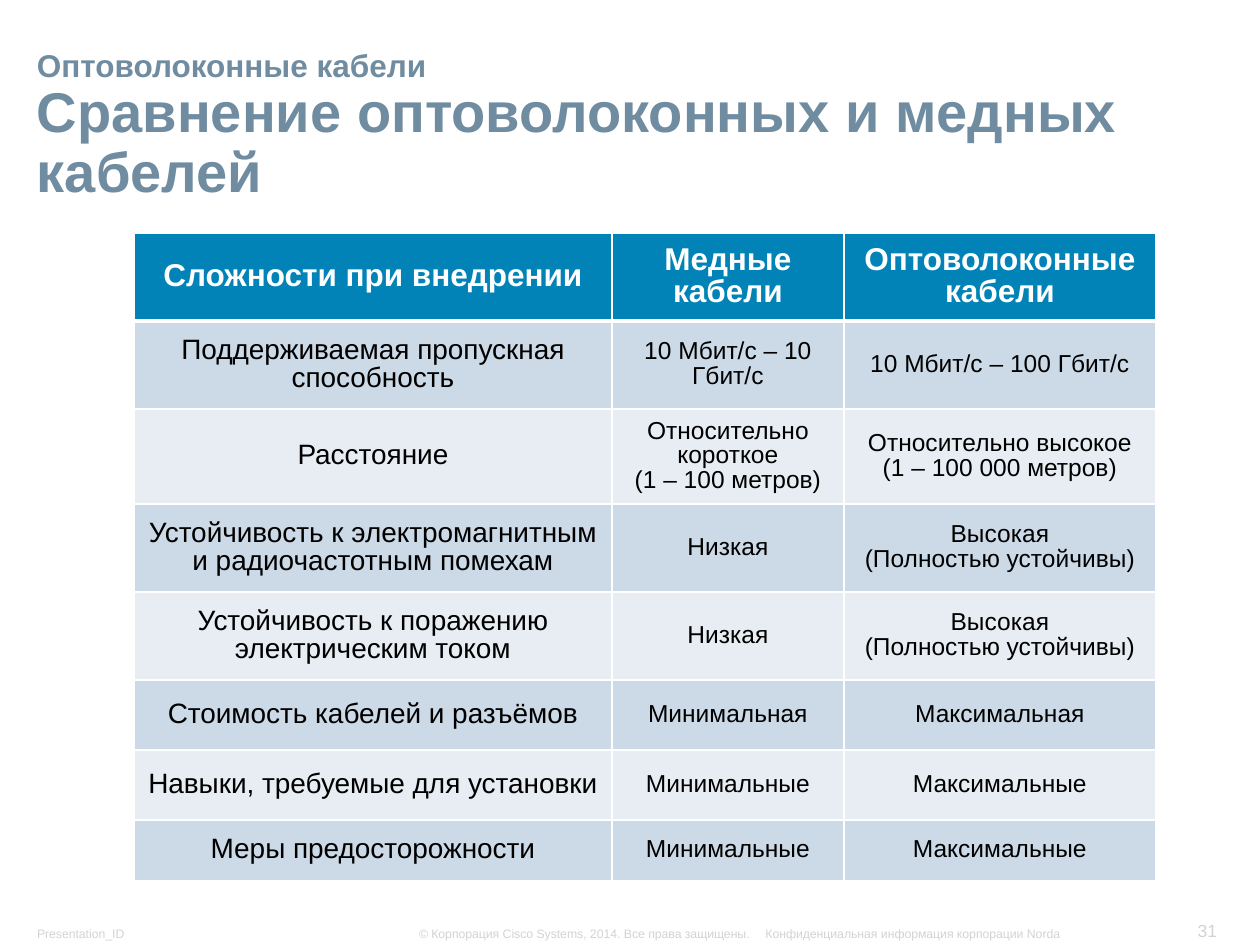
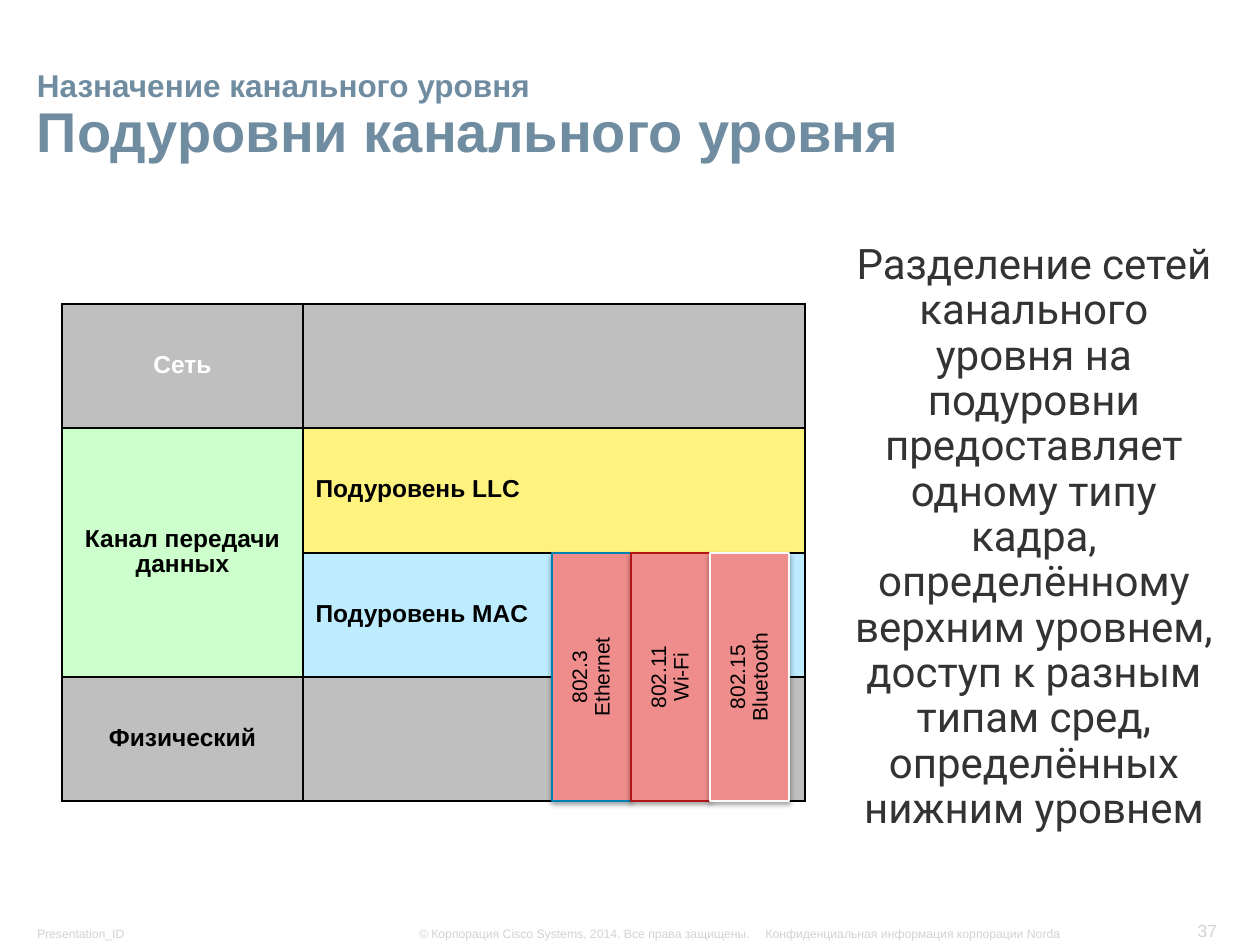
import pptx
import pptx.util
import pptx.dml.color
import pptx.enum.shapes
import pptx.enum.text
import pptx.oxml
import pptx.oxml.ns

PX = 914400 / 126
FONT = "Arial"
COLORS = {
    "title": "708CA1", "footer": "D3D3D3", "body": "333333",
    "white": "FFFFFF", "black": "000000",
    "header": "0183B7", "band_dark": "CCD9E6", "band_light": "E7EDF3",
    "grey": "BFBFBF", "green": "CCFFCC", "yellow": "FFF37F", "sky": "BEECFF",
    "standard": "EF8C8C", "blue": "0081B4", "red": "B21616", "pale": "F9F9F9",
}
RGB = {k: pptx.dml.color.RGBColor.from_string(v) for k, v in COLORS.items()}
ALIGN = pptx.enum.text.PP_ALIGN
ANCHOR = pptx.enum.text.MSO_ANCHOR
NS = pptx.oxml.ns.nsdecls("a")


def write(tf, lines, size, color, bold=False, align=ALIGN.CENTER, font=FONT):
    tf.word_wrap = True
    for i, line in enumerate(lines):
        p = tf.paragraphs[0] if i == 0 else tf.add_paragraph()
        p.text = line
        p.alignment = align
        p.line_spacing = 0.9
        p.font.name = font
        p.font.size = pptx.util.Pt(size)
        p.font.bold = bold
        p.font.color.rgb = RGB[color]


def paint(cell, fill, border, top=1, bottom=1):
    tcPr = cell._tc.get_or_add_tcPr()
    for side, width in zip("LRTB", (1, 1, top, bottom)):
        tcPr.append(pptx.oxml.parse_xml(
            f'<a:ln{side} {NS} w="{width * 12700}"><a:solidFill>'
            f'<a:srgbClr val="{COLORS[border]}"/></a:solidFill></a:ln{side}>'))
    cell.fill.solid()
    cell.fill.fore_color.rgb = RGB[fill]
    cell.vertical_anchor = ANCHOR.MIDDLE


prs = pptx.Presentation()
prs.slide_width = pptx.util.Inches(10)
prs.slide_height = pptx.util.Inches(7.5)

heads = [
    ("31", 210, "Оптоволоконные кабели", "Сравнение оптоволоконных и медных кабелей"),
    ("37", 170, "Назначение канального уровня", "Подуровни канального уровня"),
]
tables = [
    (134, 233, [478, 232, 312], [88, 88, 95, 88, 88, 70, 70, 61]),
    (62, 304, [241, 502], [124, 125, 124, 124]),
]
slides, grids = [], []
for (page, bottom, topic, title), (x, y, cols, rows) in zip(heads, tables):
    s = prs.slides.add_slide(prs.slide_layouts[6])
    slides.append(s)
    boxes = [
        (26, 920, 132, 26, ["Presentation_ID"], 7, "footer", False, ALIGN.LEFT),
        (1174, 914, 54, 32, [page], 10, "footer", False, ALIGN.RIGHT),
        (408, 920, 359, 26, ["© Корпорация Cisco Systems, 2014. Все права защищены."],
         7, "footer", False, ALIGN.LEFT),
        (740, 920, 331, 26, ["Конфиденциальная информация корпорации Norda"],
         7, "footer", False, ALIGN.RIGHT),
        (26, bottom - 166, 1208, 166, [topic, title], 32, "title", True, ALIGN.LEFT),
    ]
    for left, top, width, height, *text in boxes:
        sp = s.shapes.add_textbox(*(int(v * PX) for v in (left, top, width, height)))
        tf = sp.text_frame
        tf.vertical_anchor = ANCHOR.BOTTOM
        tf.margin_left = tf.margin_right = int(11 * PX)
        tf.margin_top = tf.margin_bottom = int(5 * PX)
        write(tf, *text)
    tf.paragraphs[0].font.size = pptx.util.Pt(18)

    tbl = s.shapes.add_table(len(rows), len(cols), *(
        int(v * PX) for v in (x, y, sum(cols), sum(rows)))).table
    tbl.first_row = tbl.horz_banding = False
    for col, width in zip(tbl.columns, cols):
        col.width = int(width * PX)
    for row, height in zip(tbl.rows, rows):
        row.height = int(height * PX)
    grids.append(tbl)

comparison = [
    ("Сложности при внедрении", "Медные кабели", "Оптоволоконные кабели"),
    ("Поддерживаемая пропускная способность", "10 Мбит/с – 10 Гбит/с",
     "10 Мбит/с – 100 Гбит/с"),
    ("Расстояние", "Относительно короткое\n(1 – 100 метров)",
     "Относительно высокое\n(1 – 100 000 метров)"),
    ("Устойчивость к электромагнитным и радиочастотным помехам", "Низкая",
     "Высокая\n(Полностью устойчивы)"),
    ("Устойчивость к поражению электрическим током", "Низкая",
     "Высокая\n(Полностью устойчивы)"),
    ("Стоимость кабелей и разъёмов", "Минимальная", "Максимальная"),
    ("Навыки, требуемые для установки", "Минимальные", "Максимальные"),
    ("Меры предосторожности", "Минимальные", "Максимальные"),
]
for r, row in enumerate(comparison):
    for c, text in enumerate(row):
        cell = grids[0].cell(r, c)
        if r == 0:
            paint(cell, "header", "white", bottom=3)
            write(cell.text_frame, [text], 18, "white", True)
        else:
            paint(cell, "band_dark" if r % 2 else "band_light", "white",
                  top=3 if r == 1 else 1)
            write(cell.text_frame, text.split("\n"), 14 if c else 16, "black")

layers = [
    (("Сеть", "grey", "white"), ("", "grey", "black")),
    (("Канал передачи данных", "green", "black"), ("Подуровень LLC", "yellow", "black")),
    (("", "green", "black"), ("Подуровень MAC", "sky", "black")),
    (("Физический", "grey", "black"), ("", "grey", "black")),
]
for r, row in enumerate(layers):
    for c, (text, fill, color) in enumerate(row):
        cell = grids[1].cell(r, c)
        paint(cell, fill, "black")
        if text:
            write(cell.text_frame, [text], 14, color, True,
                  ALIGN.LEFT if c else ALIGN.CENTER)
grids[1].cell(1, 0).merge(grids[1].cell(2, 0))

s = slides[1]
standards = [("802.3", "Ethernet", "blue"), ("802.11", "Wi-Fi", "red"),
             ("802.15", "Bluetooth", "pale")]
for i, (number, name, outline) in enumerate(standards):
    sp = s.shapes.add_shape(pptx.enum.shapes.MSO_SHAPE.RECTANGLE, *(
        int(v * PX) for v in (552 + 79 * i, 553, 79, 248)))
    sp.fill.solid()
    sp.fill.fore_color.rgb = RGB["standard"]
    sp.line.color.rgb = RGB[outline]
    sp.line.width = pptx.util.Pt(0.75)
    sp.shadow.inherit = False
    effects = sp._element.spPr.find(pptx.oxml.ns.qn("a:effectLst"))
    effects.append(pptx.oxml.parse_xml(
        f'<a:outerShdw {NS} blurRad="40000" dist="20000" dir="5400000" rotWithShape="0">'
        f'<a:srgbClr val="{COLORS["black"]}"><a:alpha val="38000"/></a:srgbClr>'
        '</a:outerShdw>'))
    tf = sp.text_frame
    tf.vertical_anchor = ANCHOR.MIDDLE
    tf._txBody.bodyPr.set("vert", "vert270")
    write(tf, [number, name], 12, "black")

sp = s.shapes.add_textbox(*(int(v * PX) for v in (833, 237, 402, 604)))
write(sp.text_frame, [
    "Разделение сетей канального уровня на подуровни предоставляет одному типу кадра, "
    "определённому верхним уровнем, доступ к разным типам сред, определённых нижним уровнем",
], 24, "body", font="Roboto")

prs.save("out.pptx")
